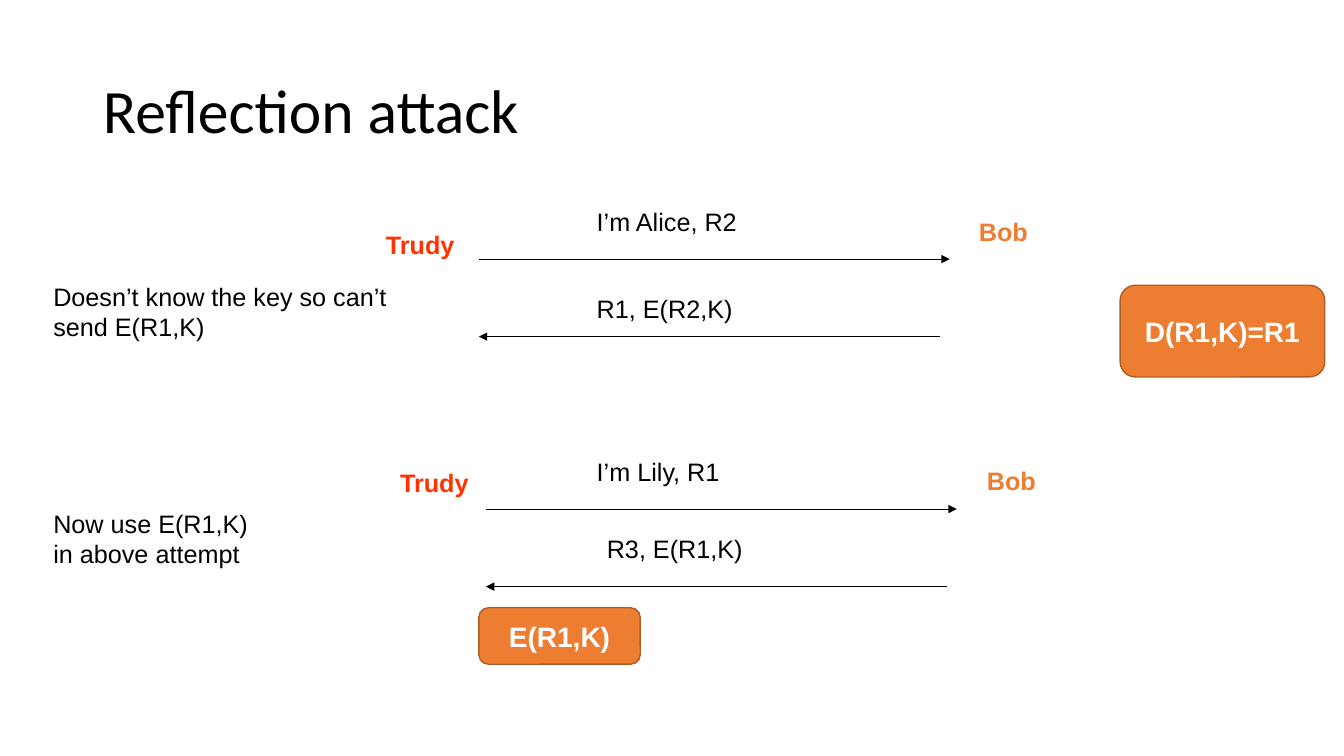
from lxml.etree import SubElement
from pptx import Presentation
from pptx.dml.color import RGBColor
from pptx.enum.shapes import MSO_CONNECTOR as Connector, MSO_SHAPE as Shape
from pptx.enum.text import MSO_ANCHOR as Anchor, MSO_AUTO_SIZE as AutoSize, PP_ALIGN as Align
from pptx.oxml.ns import qn
from pptx.util import Inches, Pt

BLACK, WHITE, RED, ORANGE, BROWN = "000000", "FFFFFF", "FF3300", "ED7D31", "AF5C24"
TITLE_ONLY = 5


def paint(color_format, color):
    color_format.rgb = RGBColor.from_string(color)


def inches(*lengths):
    return [Inches(length) for length in lengths]


class ProtocolSlide:
    font_name = "Arial"

    def __init__(self, presentation):
        self.slide = presentation.slides.add_slide(presentation.slide_layouts[TITLE_ONLY])

    def set_text(self, shape, text, color=BLACK, align=Align.LEFT, spacing=1.0, **font_format):
        paragraph = shape.text_frame.paragraphs[0]
        paragraph.text = text
        paragraph.alignment = align
        paragraph.line_spacing = spacing
        for name, value in {"name": self.font_name, "size": Pt(18), **font_format}.items():
            setattr(paragraph.font, name, value)
        paint(paragraph.font.color, color)

    def title(self, text, box):
        shape = self.slide.shapes.title
        for name, value in zip(("left", "top", "width", "height"), inches(*box)):
            setattr(shape, name, value)
        shape.text_frame.vertical_anchor = Anchor.MIDDLE
        self.set_text(shape, text, spacing=0.9, name="Calibri", size=Pt(44))

    def label(self, text, left, top, width, height=0.46, color=BLACK, bold=False):
        shape = self.slide.shapes.add_textbox(*inches(left, top, width, height))
        shape.text_frame.word_wrap = True
        shape.text_frame.auto_size = AutoSize.SHAPE_TO_FIT_TEXT
        self.set_text(shape, text, color, bold=bold)

    def arrow(self, start, end, y):
        connector = self.slide.shapes.add_connector(Connector.STRAIGHT, *inches(start, y, end, y))
        paint(connector.line.color, BLACK)
        connector.line.width = Pt(0.75)
        properties = connector.element.spPr
        SubElement(properties.find(qn("a:ln")), qn("a:tailEnd"), type="triangle")
        SubElement(properties, qn("a:effectLst"))

    def callout(self, text, box):
        shape = self.slide.shapes.add_shape(Shape.ROUNDED_RECTANGLE, *inches(*box))
        shape.shadow.inherit = False
        shape.fill.solid()
        paint(shape.fill.fore_color, ORANGE)
        paint(shape.line.color, BROWN)
        shape.line.width = Pt(1)
        shape.text_frame.word_wrap = True
        shape.text_frame.vertical_anchor = Anchor.MIDDLE
        self.set_text(shape, text, WHITE, Align.CENTER, size=Pt(20), bold=True)

    def exchange(self, left, request_y, trudy, bob, request, reply):
        """Draw a request from Trudy to Bob and his reply below it."""
        self.label("Trudy", *trudy, 1.07, color=RED, bold=True)
        self.label("Bob", *bob, 0.82, color=ORANGE, bold=True)
        self.arrow(left, left + 4.67, request_y)
        self.arrow(left + 4.57, left, request_y + 0.77)
        for message in (request, reply):
            self.label(*message, 1.91)


def main():
    presentation = Presentation()
    presentation.slide_width, presentation.slide_height = inches(13.33, 7.5)
    slide = ProtocolSlide(presentation)
    slide.title("Reflection attack", (0.92, 0.4, 11.5, 1.45))

    slide.exchange(4.75, 2.57, trudy=(3.73, 2.23), bob=(9.61, 2.1),
                   request=("I’m Alice, R2", 5.82, 2), reply=("R1, E(R2,K)", 5.82, 2.86))
    slide.label("Doesn’t know the key so can’t send E(R1,K)", 0.43, 2.74, 3.62, 0.71)

    slide.exchange(4.82, 5.05, trudy=(3.87, 4.59), bob=(9.69, 4.57),
                   request=("I’m Lily, R1", 5.82, 4.48), reply=("R3, E(R1,K)", 5.92, 5.24))
    slide.label("Now use E(R1,K) in above attempt", 0.43, 4.99, 2.38, 1.15)

    slide.callout("E(R1,K)", (4.75, 6.03, 1.6, 0.56))
    slide.callout("D(R1,K)=R1", (11.11, 2.83, 2.03, 0.91))
    presentation.save("out.pptx")


if __name__ == "__main__":
    main()
